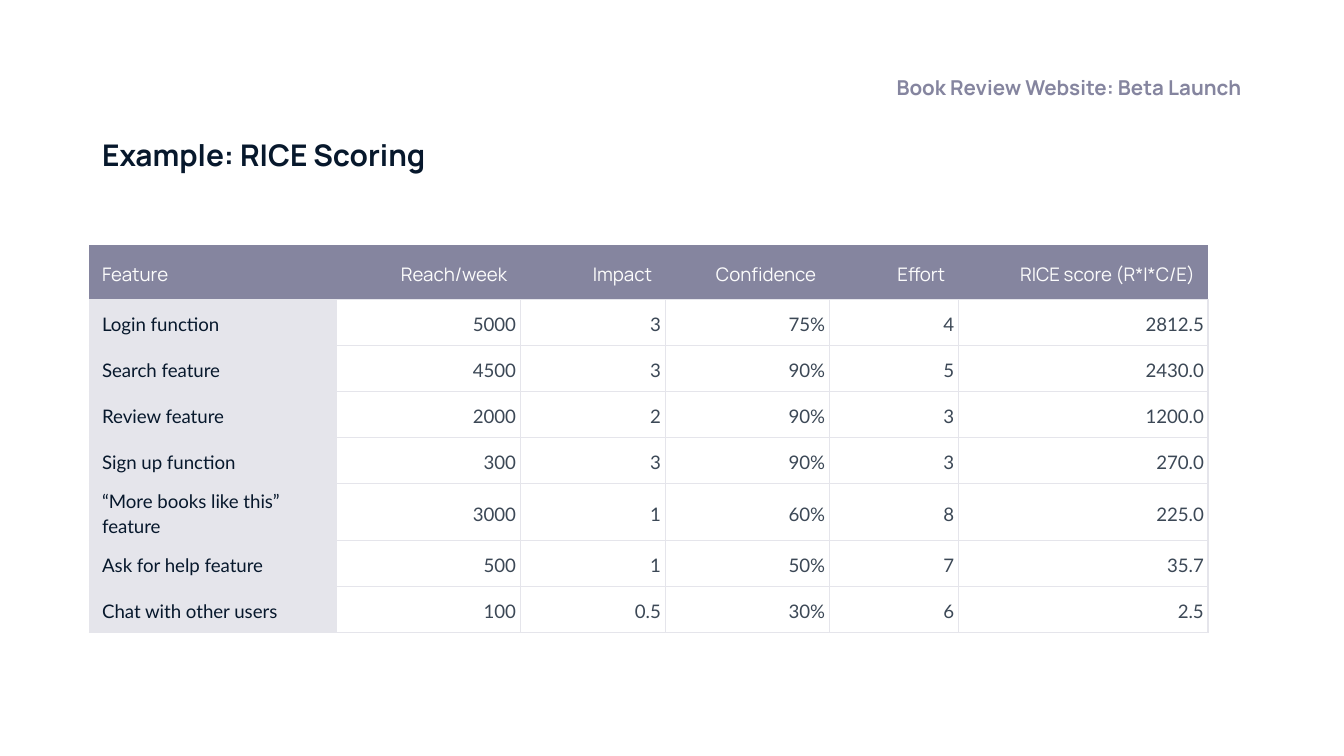
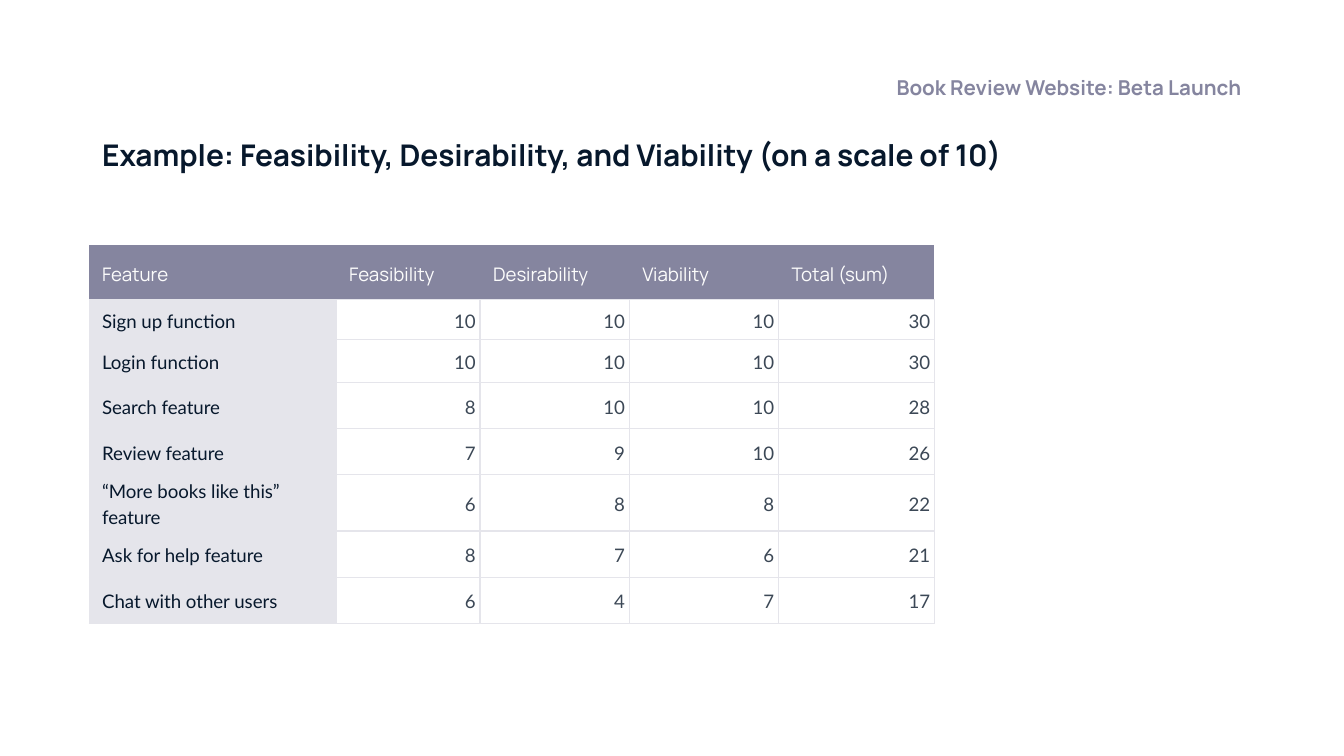
from lxml.etree import SubElement as Sub
from pptx import Presentation
from pptx.dml.color import RGBColor as Rgb
from pptx.enum.text import MSO_ANCHOR as Anchor, MSO_AUTO_SIZE as Fit, PP_ALIGN as Align
from pptx.oxml.ns import qn
from pptx.util import Cm, Pt

HUES = {
    "navy": "07182C",
    "mauve": "85859F",
    "mist": "E5E5EB",
    "slate": "3C4856",
    "pale": "FCFCFC",
}
HEAD = "Manrope"
BODY = "Lato"
BANNER = "Book Review Website: Beta Launch"
TITLE_BOX = (1.68, 2.34, 22.02, 1.19)
BANNER_BOX = (12.7, 1.17, 11.02, 0.84)
GRID_AT = (1.68, 3.76)
BLANK, TOP, ROW = 0.84, 1.03, 0.87

RICE = {
    "title": "Example: RICE Scoring",
    "cols": [4.67, 3.48, 2.74, 3.1, 2.44, 4.72],
    "rows": [ROW] * 7,
    "align": Align.RIGHT,
    "data": [
        ["Feature", "Reach/week", "Impact", "Confidence", "Effort", "RICE score (R*I*C/E)"],
        ["Login function", "5000", "3", "75%", "4", "2812.5"],
        ["Search feature", "4500", "3", "90%", "5", "2430.0"],
        ["Review feature", "2000", "2", "90%", "3", "1200.0"],
        ["Sign up function", "300", "3", "90%", "3", "270.0"],
        ["“More books like this” feature", "3000", "1", "60%", "8", "225.0"],
        ["Ask for help feature", "500", "1", "50%", "7", "35.7"],
        ["Chat with other users", "100", "0.5", "30%", "6", "2.5"],
    ],
}
SCALE = {
    "title": "Example: Feasibility, Desirability, and Viability (on a scale of 10)",
    "cols": [4.67, 2.72, 2.82, 2.82, 2.95],
    "rows": [0.75, 0.81] + [ROW] * 5,
    "align": Align.LEFT,
    "data": [
        ["Feature", "Feasibility", "Desirability", "Viability", "Total (sum)"],
        ["Sign up function", "10", "10", "10", "30"],
        ["Login function", "10", "10", "10", "30"],
        ["Search feature", "8", "10", "10", "28"],
        ["Review feature", "7", "9", "10", "26"],
        ["“More books like this” feature", "6", "8", "8", "22"],
        ["Ask for help feature", "8", "7", "6", "21"],
        ["Chat with other users", "6", "4", "7", "17"],
    ],
}


def style(para, size, face, hue, align, bold=False):
    para.alignment = align
    font = para.font
    font.size = Pt(size)
    font.name = face
    font.bold = bold
    font.color.rgb = Rgb.from_string(HUES[hue])


def label(shape, box, text, size, hue, align):
    shape.left, shape.top, shape.width, shape.height = map(Cm, box)
    frame = shape.text_frame
    frame.word_wrap = True
    frame.auto_size = Fit.NONE
    frame.vertical_anchor = Anchor.TOP
    frame.margin_left = frame.margin_right = Cm(0.25)
    frame.margin_top = frame.margin_bottom = Cm(0.25)
    frame.text = text
    style(frame.paragraphs[0], size, HEAD, hue, align, True)


def edge(cell, sides):
    props = cell._tc.get_or_add_tcPr()
    for side in "LRTB":
        line = Sub(props, qn("a:ln" + side), w=str(Pt(0.75)))
        if side in sides:
            fill = Sub(line, qn("a:solidFill"))
            Sub(fill, qn("a:srgbClr"), val=HUES["mist"])
        else:
            Sub(line, qn("a:noFill"))


def paint(cell, hue, sides, left=0.08, right=0.08):
    edge(cell, sides)
    if hue:
        cell.fill.solid()
        cell.fill.fore_color.rgb = Rgb.from_string(HUES[hue])
    else:
        cell.fill.background()
    cell.vertical_anchor = Anchor.MIDDLE
    cell.margin_left, cell.margin_right = Cm(left), Cm(right)
    cell.margin_top = cell.margin_bottom = Cm(0.05)


def write(cell, text, face, hue, align):
    cell.text = text
    para = cell.text_frame.paragraphs[0]
    para.line_spacing = 1.15
    style(para, 10, face, hue, align)


def grid(slide, at, topic):
    cols, data = topic["cols"], topic["data"]
    rows = [BLANK, TOP] + topic["rows"]
    size = sum(cols), sum(rows)
    table = slide.shapes.add_table(len(rows), len(cols), *map(Cm, at + size)).table
    table.first_row = table.horz_banding = False
    for col, wide in zip(table.columns, cols):
        col.width = Cm(wide)
    for row, high in zip(table.rows, rows):
        row.height = Cm(high)
    for c in range(len(cols)):
        paint(table.cell(0, c), None, "")
    table.cell(0, 2).merge(table.cell(0, 4))
    for r, line in enumerate(data, 1):
        for c, text in enumerate(line):
            cell = table.cell(r, c)
            if r == 1:
                paint(cell, "mauve", "B", 0.25, 0.25 if c else 0.08)
                write(cell, text, HEAD, "pale", topic["align"] if c else Align.LEFT)
            elif c == 0:
                paint(cell, "mist", "TRB", 0.25)
                write(cell, text, BODY, "navy", Align.LEFT)
            else:
                paint(cell, None, "LRTB")
                write(cell, text, BODY, "slate", Align.RIGHT)


def page(deck, topic):
    slide = deck.slides.add_slide(deck.slide_layouts[5])
    label(slide.shapes.title, TITLE_BOX, topic["title"], 16, "navy", Align.LEFT)
    grid(slide, GRID_AT, topic)
    note = slide.shapes.add_textbox(*map(Cm, BANNER_BOX))
    label(note, BANNER_BOX, BANNER, 11, "mauve", Align.RIGHT)


def main():
    deck = Presentation()
    deck.slide_width, deck.slide_height = Cm(25.4), Cm(14.29)
    for topic in (RICE, SCALE):
        page(deck, topic)
    deck.save("out.pptx")


if __name__ == "__main__":
    main()
